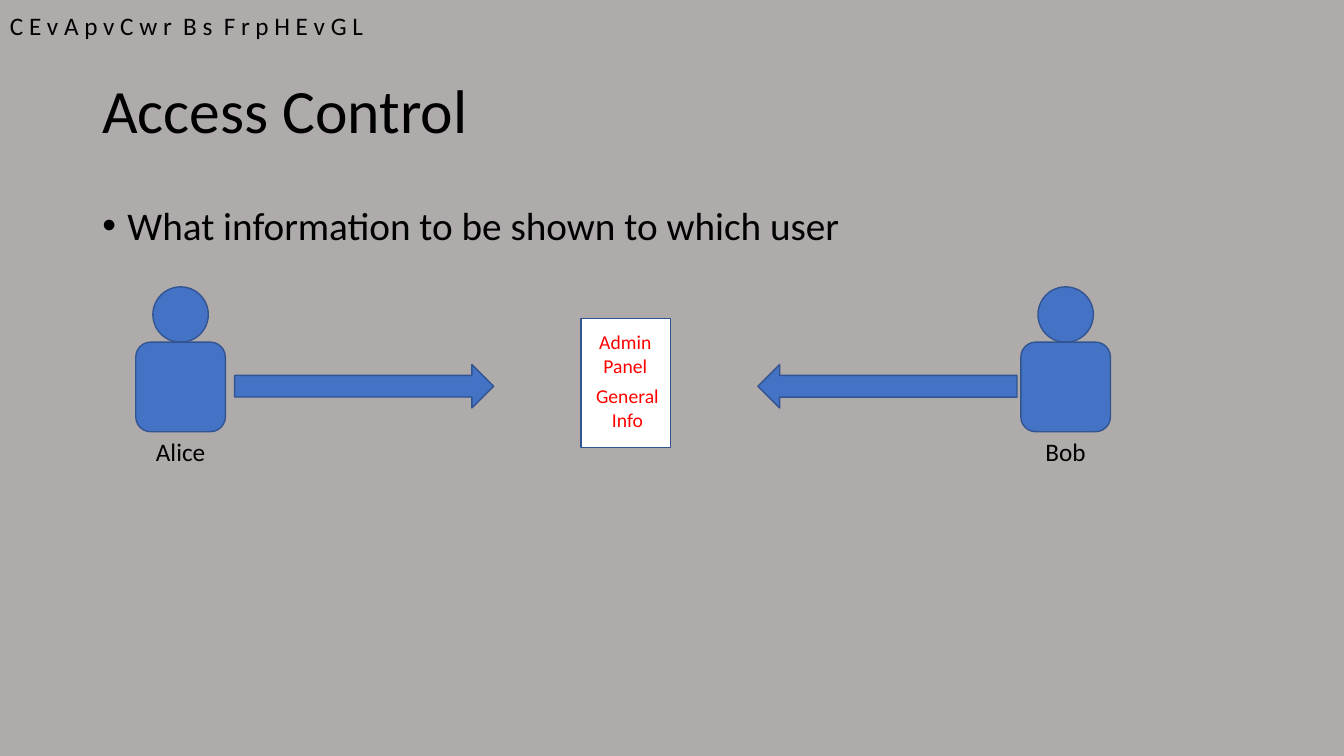
from lxml import etree
from pptx import Presentation
from pptx.dml.color import RGBColor
from pptx.enum import shapes, text
from pptx.oxml.ns import qn
from pptx.util import Pt

BLUE, OUTLINE, BLACK, RED, WHITE = "4472C4", "325491", "000000", "FF0000", "FFFFFF"
MSO = shapes.MSO_SHAPE
CENTER = text.PP_ALIGN.CENTER

prs = Presentation()
prs.slide_width, prs.slide_height = Pt(960), Pt(540)
slide = prs.slides.add_slide(prs.slide_layouts[6])
rgb = RGBColor.from_string
slide.background.fill.solid()
slide.background.fill.fore_color.rgb = rgb("AFABAB")


def add_text(parent, words, x, y, w, h, size, color=BLACK, align=text.PP_ALIGN.LEFT):
    tf = parent.add_textbox(Pt(x), Pt(y), Pt(w), Pt(h)).text_frame
    tf.word_wrap = True
    p = tf.paragraphs[0]
    p.text = words
    p.alignment = align
    p.font.name, p.font.size, p.font.color.rgb = "Calibri", Pt(size), rgb(color)
    return tf


def add_shape(parent, kind, x, y, w, h, fill=BLUE):
    sp = parent.add_shape(kind, Pt(x), Pt(y), Pt(w), Pt(h))
    sp.shadow.inherit = False
    sp.fill.solid()
    sp.fill.fore_color.rgb = rgb(fill)
    sp.line.color.rgb = rgb(OUTLINE)
    sp.line.width = Pt(1)
    return sp


# Title
tf = add_text(slide.shapes, "Access Control", 66, 28.75, 828, 104.4, 44)
tf.vertical_anchor = text.MSO_ANCHOR.MIDDLE
tf.paragraphs[0].line_spacing = 0.9

# Bullet
tf = add_text(slide.shapes, "What information to be shown to which user", 66, 143.75, 828, 342.6, 28)
p = tf.paragraphs[0]
p.line_spacing, p.space_before = 0.9, Pt(10)
pPr = p._p.get_or_add_pPr()
pPr.set("marL", str(Pt(18)))
pPr.set("indent", str(-Pt(18)))
bullet_font = etree.Element(qn("a:buFont"), typeface="Arial")
bullet = etree.Element(qn("a:buChar"), char="•")
pPr.find(qn("a:spcBef")).addnext(bullet_font)
bullet_font.addnext(bullet)

# Encrypted line
add_text(slide.shapes, "C E v A p v C w r  B s  F r p H E v G L", 0, 3.6, 288.7, 51, 18)

# Users: head, body and name
for name, x in (("Alice", 97), ("Bob", 729.2)):
    user = slide.shapes.add_group_shape().shapes
    add_shape(user, MSO.OVAL, x + 12.2, 204.9, 39.6, 39.6)
    add_shape(user, MSO.ROUNDED_RECTANGLE, x, 244.4, 64, 64)
    add_text(user, name, x + 4.3, 308.4, 55.4, 29.1, 18, align=CENTER)

# Arrows towards the page
for x, turn in ((167.6, 0), (541.4, 180)):
    add_shape(slide.shapes, MSO.RIGHT_ARROW, x, 260.4, 185, 31).rotation = turn

# Page with its two sections
add_shape(slide.shapes, MSO.RECTANGLE, 415, 227.5, 64, 92, WHITE)
for words, x, y in (("Admin Panel", 413.7, 232.3), ("General Info", 415.2, 270.8)):
    add_text(slide.shapes, words, x, y, 66, 41.2, 14, RED, CENTER)

prs.save("out.pptx")
